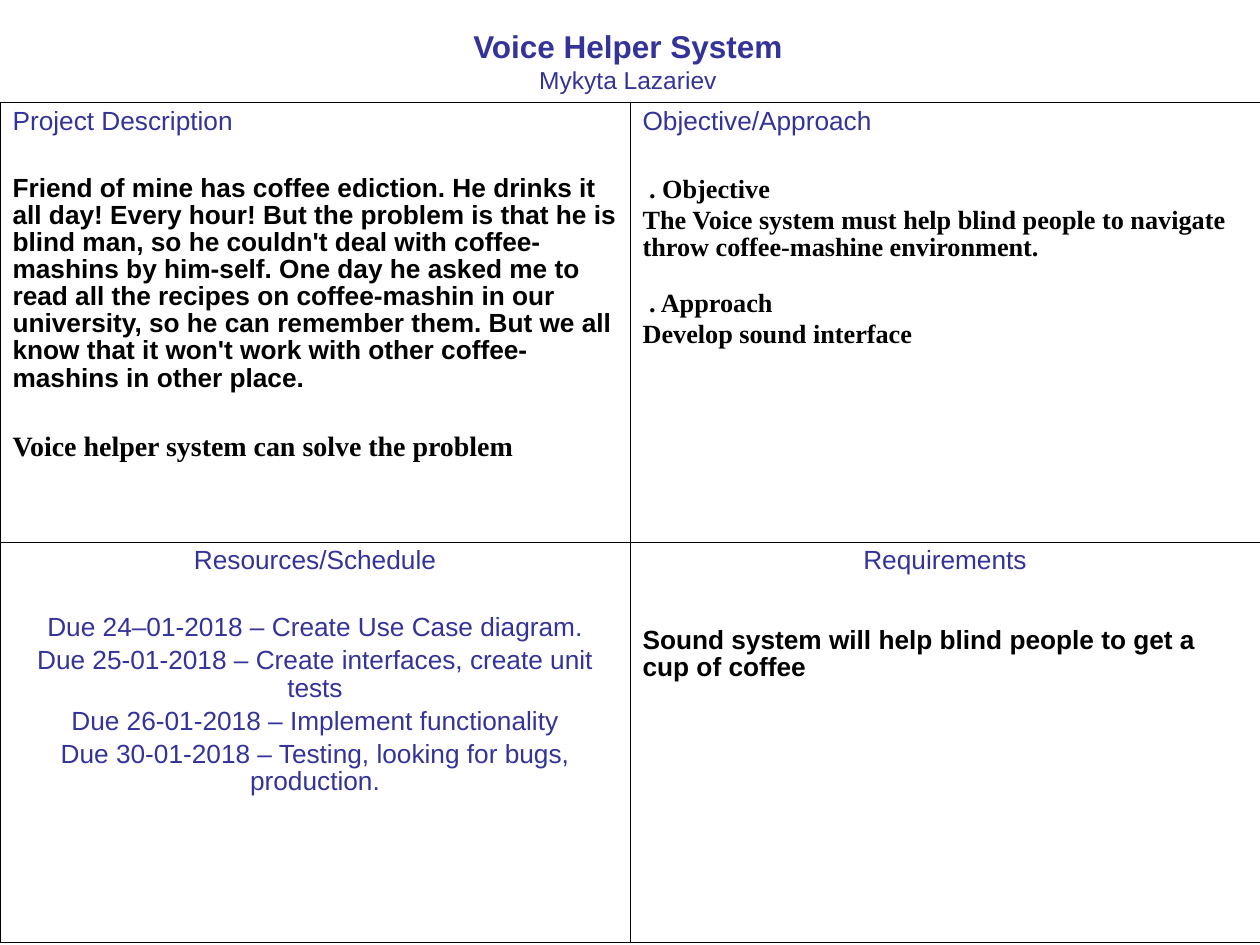
"""Build the four-quadrant project summary slide for the Voice Helper System."""
from pptx import Presentation
from pptx.dml.color import RGBColor
from pptx.enum.text import PP_ALIGN as Align
from pptx.oxml.ns import qn
from pptx.util import Cm, Pt
from lxml.etree import SubElement

NAVY = RGBColor(0x33, 0x33, 0x99)
BLACK = RGBColor(0, 0, 0)
SANS, SERIF = "Arial", "Times New Roman"

HEAD = dict(spacing=0.93)
BODY = dict(spacing=0.93, color=BLACK, bold=True)
NOTE = dict(spacing=0.92, color=BLACK, bold=True, font=SERIF)
TASK = dict(spacing=0.93, align=Align.CENTER)

TITLE = [
    ("Voice Helper System", dict(size=18, bold=True, align=Align.CENTER)),
    ("Mykyta Lazariev", dict(size=14, align=Align.CENTER)),
]
QUADRANTS = [
    [
        [
            ("Project Description", HEAD),
            ("Friend of mine has coffee ediction. He drinks it all day! Every hour! "
             "But the problem is that he is blind man, so he couldn't deal with "
             "coffee-mashins by him-self. One day he asked me to read all the reсipes "
             "on coffee-mashin in our university, so he can remember them. But we all "
             "know that it won't work with other coffee-mashins in other place.",
             dict(BODY, before=22.8)),
            ("Voice helper system can solve the problem", dict(NOTE, size=16, before=23.5)),
        ],
        [
            ("Objective/Approach", HEAD),
            (" . Objective", dict(NOTE, before=24)),
            ("The Voice system must help blind people to navigate throw "
             "coffee-mashine environment.", dict(NOTE, before=2.5)),
            (" . Approach", dict(NOTE, before=16.7)),
            ("Develop sound interface", dict(NOTE, before=2.5)),
        ],
    ],
    [
        [
            ("Resources/Schedule", TASK),
            ("Due 24–01-2018 – Create Use Case diagram.", dict(TASK, before=22.8)),
            ("Due 25-01-2018 – Create interfaces, create unit tests", dict(TASK, before=3.5)),
            ("Due 26-01-2018 – Implement functionality", dict(TASK, before=3.5)),
            ("Due 30-01-2018 – Testing, looking for bugs, production.",
             dict(TASK, before=3.5)),
        ],
        [
            ("Requirements", TASK),
            ("Sound system will help blind people to get a cup of coffee",
             dict(BODY, before=30.2)),
        ],
    ],
]
COL_WIDTH = Cm(12.7)
ROW_HEIGHTS = [Cm(8.86), Cm(8.08)]
OUTER, INNER = Pt(0.5), Pt(0.23)


def add_text(tf, text, first=False, size=15, font=SANS, color=NAVY, bold=False,
             align=Align.LEFT, spacing=None, before=0):
    p = tf.paragraphs[0] if first else tf.add_paragraph()
    p.alignment, p.space_before = align, Pt(before)
    if spacing:
        p.line_spacing = spacing
    r = p.add_run()
    r.text = text
    r.font.size, r.font.name, r.font.bold = Pt(size), font, bold
    r.font.color.rgb = color


def fill_text(tf, lines):
    for i, (text, fmt) in enumerate(lines):
        add_text(tf, text, first=i == 0, **fmt)


def set_borders(cell, widths):
    tc_pr = cell._tc.get_or_add_tcPr()
    for side, width in widths.items():
        ln = SubElement(tc_pr, qn(f"a:ln{side}"), w=str(int(width)))
        fill = SubElement(ln, qn("a:solidFill"))
        SubElement(fill, qn("a:srgbClr"), val=str(BLACK))


def main():
    prs = Presentation()
    prs.slide_width, prs.slide_height = Cm(25.4), Cm(19.05)
    s = prs.slides.add_slide(prs.slide_layouts[6])

    title = s.shapes.add_textbox(Cm(2.08), Cm(0.43), Cm(21.16), Cm(1.63))
    title.text_frame.word_wrap = True
    fill_text(title.text_frame, TITLE)

    frame = s.shapes.add_table(2, 2, 0, Cm(2.06), 2 * COL_WIDTH, sum(ROW_HEIGHTS))
    table = frame.table
    table.first_row = table.horz_banding = False
    for col in table.columns:
        col.width = COL_WIDTH
    for i, row in enumerate(QUADRANTS):
        table.rows[i].height = ROW_HEIGHTS[i]
        for j, lines in enumerate(row):
            cell = table.cell(i, j)
            fill_text(cell.text_frame, lines)
            set_borders(cell, {
                "L": INNER if j else OUTER, "R": OUTER if j else INNER,
                "T": INNER if i else OUTER, "B": OUTER if i else INNER,
            })
            cell.fill.background()

    prs.save("out.pptx")


if __name__ == "__main__":
    main()
